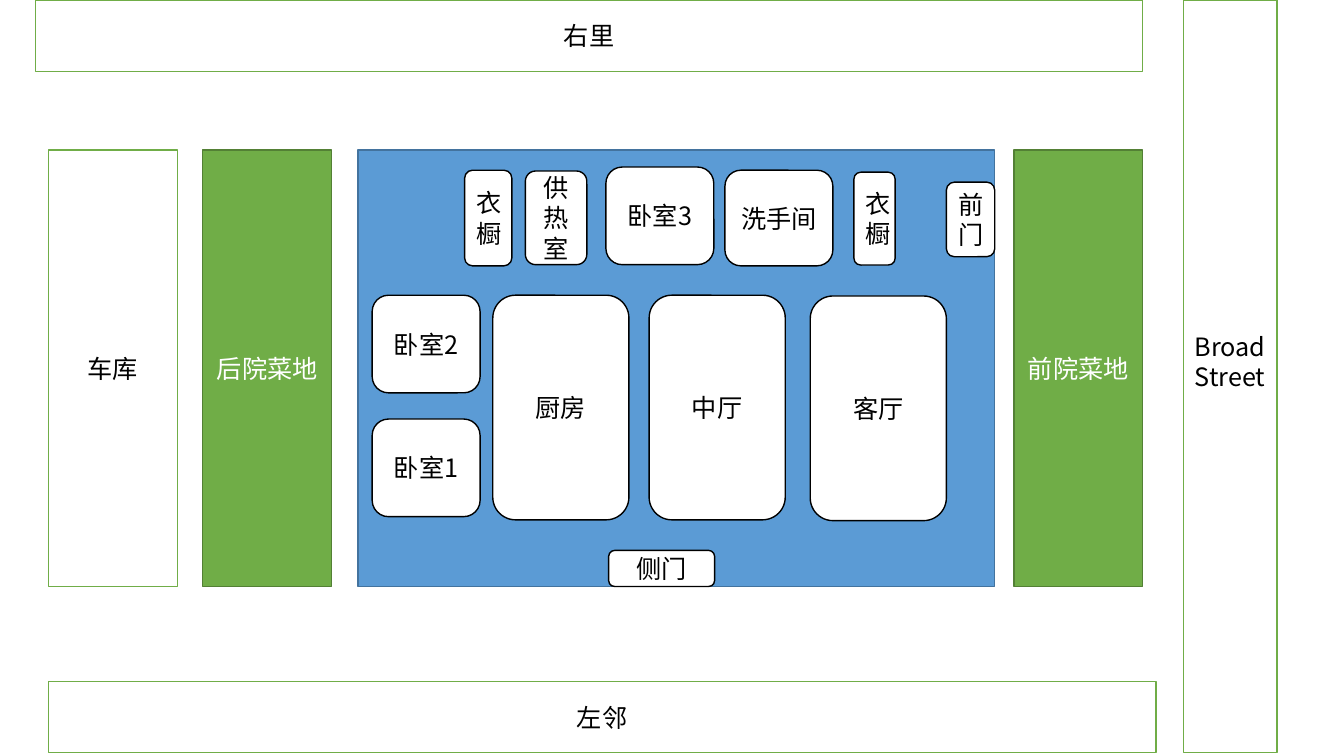
from dataclasses import dataclass

from lxml import etree
from pptx import Presentation
from pptx.dml.color import RGBColor
from pptx.enum.shapes import MSO_SHAPE
from pptx.enum.text import MSO_ANCHOR, PP_ALIGN
from pptx.oxml.ns import qn
from pptx.util import Cm, Pt

RECT = MSO_SHAPE.RECTANGLE
ROUND = MSO_SHAPE.ROUNDED_RECTANGLE
MIDDLE = MSO_ANCHOR.MIDDLE
CENTER = PP_ALIGN.CENTER


@dataclass(frozen=True)
class Theme:
    font: str = "Noto Sans CJK SC"
    size: int = 18
    edge: int = 1
    # Styles: fill, line, text
    plain: tuple = ("FFFFFF", "70AD47", "000000")
    garden: tuple = ("70AD47", "538035", "FFFFFF")
    house: tuple = ("5B9BD5", "43739E", "FFFFFF")
    room: tuple = ("FFFFFF", "000000", "000000")


THEME = Theme()


def add_run(para, text, color):
    run = para.add_run()
    run.text = text
    font = run.font
    font.name = THEME.font
    font.size = Pt(THEME.size)
    font.color.rgb = RGBColor.from_string(color)
    east = etree.SubElement(run._r.get_or_add_rPr(), qn("a:ea"))
    east.set("typeface", THEME.font)


def add_block(slide, box, style, lines=(), kind=RECT):
    fill, line, color = style
    shape = slide.shapes.add_shape(kind, *(Cm(n) for n in box))
    shape.shadow.inherit = False
    shape.fill.solid()
    shape.fill.fore_color.rgb = RGBColor.from_string(fill)
    shape.line.color.rgb = RGBColor.from_string(line)
    shape.line.width = Pt(THEME.edge)
    frame = shape.text_frame
    frame.word_wrap = True
    frame.vertical_anchor = MIDDLE
    for i, text in enumerate(lines):
        para = frame.add_paragraph() if i else frame.paragraphs[0]
        para.alignment = CENTER
        add_run(para, text, color)
    return shape


def add_lots(slide, box):
    """Garage and the two gardens, on either side of the house."""
    left, top, width, height = box
    lot = 3.25
    lots = [
        ("车库", 0, THEME.plain),
        ("后院菜地", 3.89, THEME.garden),
        ("前院菜地", width - lot, THEME.garden),
    ]
    for name, x, style in lots:
        add_block(slide, (left + x, top, lot, height), style, [name])


def add_house(slide, box):
    left, top, width, height = box
    add_block(slide, box, THEME.house)
    bed, hall = (2.72, 2.46), (3.43, 5.66)
    side, front = (2.67, 0.91), (1.22, 1.88)
    rooms = [
        # Bedrooms at the back
        ("卧室2", 0.36, 3.66, bed),
        ("卧室1", 0.36, 6.78, bed),
        # Large rooms
        ("厨房", 3.4, 3.66, hall),
        ("中厅", 7.34, 3.66, hall),
        ("客厅", 11.4, 3.68, hall),
        # Upper row
        ("衣橱", 2.69, 0.51, (1.19, 2.41)),
        ("供热室", 4.22, 0.53, (1.55, 2.36)),
        ("卧室3", 6.25, 0.43, bed),
        ("洗手间", 9.25, 0.51, (2.72, 2.41)),
        ("衣橱", 12.5, 0.56, (1.04, 2.34)),
        # Doors on the outer walls
        ("侧门", 6.32, height - side[1], side),
        ("前门", width - front[0], 0.81, front),
    ]
    for name, x, y, size in rooms:
        add_block(slide, (left + x, top + y, *size), THEME.room, [name], ROUND)


def add_bounds(slide, box):
    """Neighbours above and below, and the street on the right."""
    left, top, width, height = box
    long, deep, road = 27.91, 1.8, 2.36
    add_block(slide, (left, top, long, deep), THEME.plain, ["右里"])
    low = (left + 0.33, top + height - deep, long, deep)
    add_block(slide, low, THEME.plain, ["左邻"])
    lane = (left + width - road, top, road, height)
    street = add_block(slide, lane, THEME.plain, ["Broad", "Street"])
    street.text_frame.margin_bottom = Cm(0.89)


deck = Presentation()
deck.slide_width, deck.slide_height = Cm(33.87), Cm(19.05)
plan = deck.slides.add_slide(deck.slide_layouts[6])
add_bounds(plan, (0.89, 0, 31.29, 18.97))
add_lots(plan, (1.22, 3.78, 27.58, 11))
add_house(plan, (9.02, 3.78, 16.05, 11))
deck.save("out.pptx")
